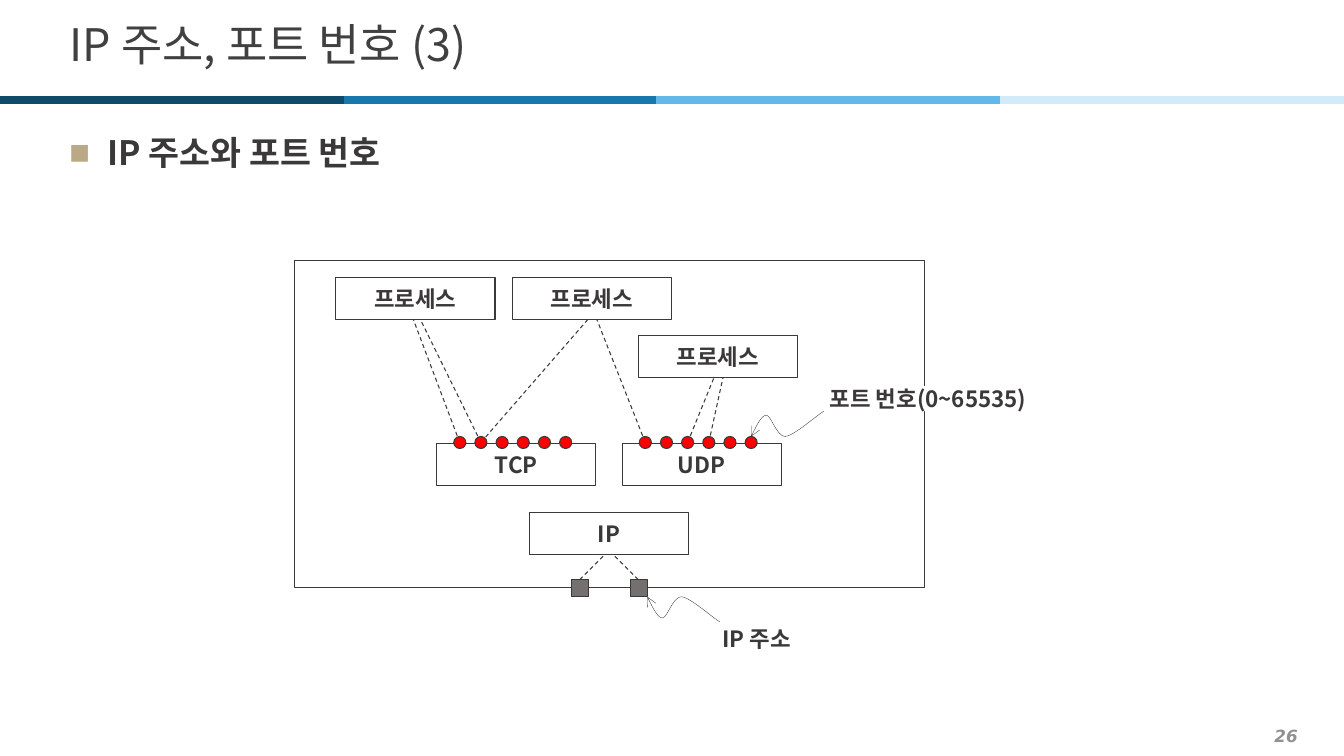
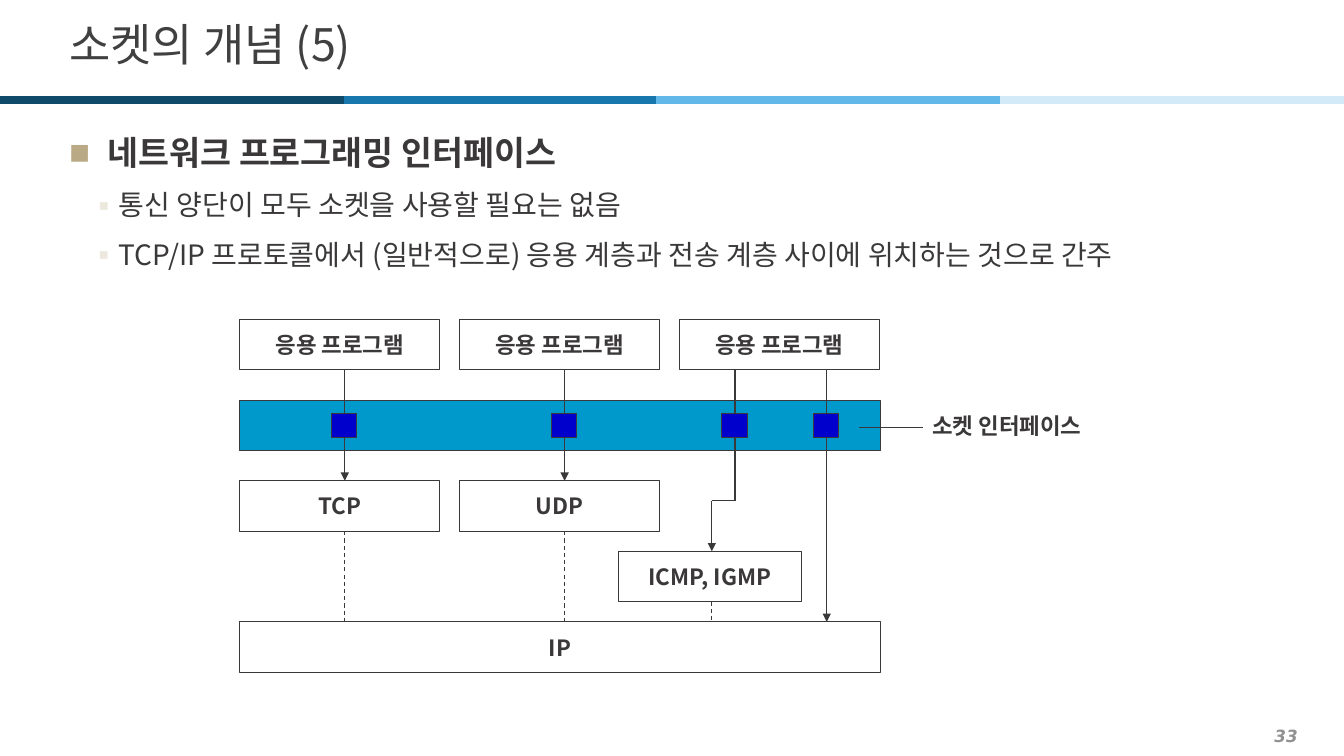
import pptx
import pptx.util
import pptx.dml.color
import pptx.enum.dml
import pptx.enum.shapes
import pptx.enum.text
import pptx.oxml.ns
import lxml.etree

Inches = pptx.util.Inches
Pt = pptx.util.Pt
RGBColor = pptx.dml.color.RGBColor
SHAPE = pptx.enum.shapes.MSO_SHAPE
ALIGN = pptx.enum.text.PP_ALIGN
qn = pptx.oxml.ns.qn

# Shared look
FONT = "Noto Sans CJK KR"
SANS = "DejaVu Sans"
INK = RGBColor(0x3A, 0x38, 0x38)
HEAD = RGBColor(0x40, 0x40, 0x40)
PALE = RGBColor(0x91, 0x91, 0x91)
WHITE = RGBColor(0xFF, 0xFF, 0xFF)
RED = RGBColor(0xFF, 0x00, 0x00)
GRAY = RGBColor(0x75, 0x70, 0x70)
CYAN = RGBColor(0x00, 0x99, 0xCC)
BLUE = RGBColor(0x00, 0x00, 0xCC)
BANDS = [RGBColor(0x0F, 0x4A, 0x6B), RGBColor(0x18, 0x77, 0xAC),
         RGBColor(0x61, 0xB8, 0xE9), RGBColor(0xD3, 0xEB, 0xF9)]
ENDS = [0, 3.41, 6.51, 9.92, 13.33]

# Bullet levels: size, bold, mark, mark colour, mark percent, margin, hang,
# line spacing, space before
LEVELS = [
    (24, True, "■", "B9A984", 65, 0.38, 0.38, 1.2, 0),
    (20, False, "▪", "ECE8DD", 55, 0.49, 0.2, 1.3, 2),
]


def add_tag(parent, name, **attrs):
    tag = lxml.etree.SubElement(parent, qn(name))
    for key, value in attrs.items():
        tag.set(key, str(value))
    return tag


def add_run(par, text, size, color, bold=False, font=FONT, italic=False):
    run = par.add_run()
    run.text = text
    face = run.font
    face.size, face.bold, face.italic = Pt(size), bold, italic
    face.color.rgb = color
    face.name = font
    add_tag(run.font._element, "a:ea", typeface=font)


def add_text(slide, x, y, w, h, middle=True):
    box = slide.shapes.add_textbox(Inches(x), Inches(y), Inches(w), Inches(h))
    frame = box.text_frame
    frame.word_wrap = True
    if middle:
        frame.vertical_anchor = pptx.enum.text.MSO_ANCHOR.MIDDLE
    return frame


def add_label(slide, x, y, w, h, text, align=ALIGN.CENTER):
    frame = add_text(slide, x, y, w, h)
    frame.word_wrap = False
    par = frame.paragraphs[0]
    par.alignment = align
    add_run(par, text, 16, INK, True)


def add_box(slide, x, y, w, h, text="", fill=None, kind=SHAPE.RECTANGLE,
            edge=True):
    box = slide.shapes.add_shape(kind, Inches(x), Inches(y), Inches(w), Inches(h))
    box.shadow.inherit = False
    if fill is None:
        box.fill.background()
    else:
        box.fill.solid()
        box.fill.fore_color.rgb = fill
    if edge:
        box.line.color.rgb = INK
        box.line.width = Pt(0.75)
    else:
        box.line.fill.background()
    if text:
        frame = box.text_frame
        frame.word_wrap = False
        frame.vertical_anchor = pptx.enum.text.MSO_ANCHOR.MIDDLE
        par = frame.paragraphs[0]
        par.alignment = ALIGN.CENTER
        add_run(par, text, 16, INK, True)


def add_line(slide, x1, y1, x2, y2, color=INK, width=0.75, dash=False,
             arrow=False):
    line = slide.shapes.add_connector(
        pptx.enum.shapes.MSO_CONNECTOR.STRAIGHT,
        Inches(x1), Inches(y1), Inches(x2), Inches(y2))
    line.line.color.rgb = color
    line.line.width = Pt(width)
    if dash:
        line.line.dash_style = pptx.enum.dml.MSO_LINE.DASH
    if arrow:
        add_tag(line.get_or_add_ln(), "a:tailEnd", type="triangle")
    add_tag(line._element.spPr, "a:effectLst")


def add_wave(slide, x, y, flip):
    """Wavy pointer with its arrowhead at x, y; flip is 1 or -1."""
    knots = [(0, 0), (0.05, 0.1), (0.1, 0.21), (0.15, 0.21), (0.2, 0.21),
             (0.25, 0), (0.34, 0), (0.43, 0.01), (0.65, 0.21), (0.72, 0.25)]
    steps = 12
    points = []
    for start in range(0, 9, 3):
        curve = knots[start:start + 4]
        for step in range(1, steps + 1):
            t = step / steps
            parts = [(1 - t) ** 3, 3 * t * (1 - t) ** 2,
                     3 * t ** 2 * (1 - t), t ** 3]
            dx = sum(k * p[0] for k, p in zip(parts, curve))
            dy = sum(k * p[1] for k, p in zip(parts, curve))
            points.append((Inches(x + dx), Inches(y + flip * dy)))
    form = slide.shapes.build_freeform(Inches(x), Inches(y))
    form.add_line_segments(points, close=False)
    wave = form.convert_to_shape()
    wave.shadow.inherit = False
    wave.fill.background()
    wave.line.color.rgb = INK
    wave.line.width = Pt(0.25)
    add_tag(wave.get_or_add_ln(), "a:headEnd", type="arrow")


def add_body(slide, x, y, w, h, items):
    frame = add_text(slide, x, y, w, h, middle=False)
    for i, (level, text) in enumerate(items):
        size, bold, mark, tint, scale, left, hang, lead, above = LEVELS[level]
        par = frame.add_paragraph() if i else frame.paragraphs[0]
        par.level = level
        par.line_spacing = lead
        par.space_before, par.space_after = Pt(above), Pt(2)
        props = par._p.get_or_add_pPr()
        props.set("marL", str(Inches(left)))
        props.set("indent", str(-Inches(hang)))
        add_tag(add_tag(props, "a:buClr"), "a:srgbClr", val=tint)
        add_tag(props, "a:buSzPct", val=scale * 1000)
        add_tag(props, "a:buFont", typeface=SANS)
        add_tag(props, "a:buChar", char=mark)
        add_run(par, text, size, INK, bold)


def add_page(deck, title, number, items):
    slide = deck.slides.add_slide(deck.slide_layouts[6])
    # Colour band
    for color, x1, x2 in zip(BANDS, ENDS, ENDS[1:]):
        add_line(slide, x1, 0.99, x2, 0.99, color, 6)
    # Page number
    par = add_text(slide, 0.2, 7.14, 12.77, 0.31).paragraphs[0]
    par.alignment = ALIGN.RIGHT
    add_run(par, number, 12, PALE, True, SANS, True)
    # Title and bullets
    par = add_text(slide, 0.59, 0.13, 12.21, 0.68).paragraphs[0]
    par.line_spacing = 0.9
    add_run(par, title, 32, HEAD)
    add_body(slide, 0.59, 1.18, 12.21, 6.03, items)
    return slide


def draw_host(slide, x, y):
    """Host with its processes, ports and addresses."""
    add_box(slide, x, y, 6.25, 3.25)
    for dx, dy, text in [
            (0.41, 0.17, "프로세스"), (2.16, 0.17, "프로세스"),
            (3.41, 0.75, "프로세스"), (1.41, 1.82, "TCP"),
            (3.25, 1.82, "UDP"), (2.33, 2.5, "IP")]:
        add_box(slide, x + dx, y + dy, 1.58, 0.42, text)
    # Process to port: start x, start y, protocol left, port index
    tcp, udp, gap = 1.41, 3.25, 0.21
    for dx, dy, left, port in [
            (1.18, 0.59, tcp, 0), (1.25, 0.59, tcp, 1), (2.91, 0.59, tcp, 1),
            (3, 0.59, udp, 0), (4.16, 1.17, udp, 2), (4.25, 1.17, udp, 3)]:
        add_line(slide, x + left + 0.23 + gap * port, y + 1.81,
                 x + dx, y + dy, dash=True)
    # Ports
    for left in (tcp, udp):
        for port in range(6):
            add_box(slide, x + left + 0.17 + gap * port, y + 1.75, 0.12, 0.12,
                    fill=RED, kind=SHAPE.OVAL)
    # Addresses
    for left, top in [(2.75, 3.08), (3.33, 3.16)]:
        add_line(slide, x + left + 0.08, y + 3.17, x + top, y + 2.92, dash=True)
        add_box(slide, x + left, y + 3.17, 0.17, 0.17, fill=GRAY)
    # Callouts
    add_wave(slide, x + 4.53, y + 1.75, -1)
    add_box(slide, x + 5.16, y + 1.25, 2.25, 0.25, "포트 번호(0~65535)",
            WHITE, edge=False)
    add_wave(slide, x + 3.5, y + 3.34, 1)
    add_label(slide, x + 4, y + 3.67, 1.17, 0.17, "IP 주소")


def draw_stack(slide, x, y):
    """Protocol layers with the socket layer between them."""
    wide, tall, cell, pitch = 6.35, 0.5, 1.98, 2.18
    band, mid, low, base = 0.8, 1.6, 2.3, 3
    # Layers
    for col in range(3):
        add_box(slide, x + pitch * col, y, cell, tall, "응용 프로그램")
    for col, text in enumerate(["TCP", "UDP"]):
        add_box(slide, x + pitch * col, y + mid, cell, tall, text)
    add_box(slide, x + 3.75, y + low, 1.82, tall, "ICMP, IGMP")
    add_box(slide, x, y + base, wide, tall, "IP")
    add_box(slide, x, y + band, wide, tall, fill=CYAN)
    # Socket paths: x, end y, arrow
    bend, icmp = 4.91, 4.68
    for dx, end, arrow in [(1.04, mid, True), (3.22, mid, True),
                           (bend, 1.8, False), (5.82, base, True)]:
        add_line(slide, x + dx, y + tall, x + dx, y + end, arrow=arrow)
        add_box(slide, x + dx - 0.13, y + 0.93, 0.25, 0.24, fill=BLUE)
    add_line(slide, x + icmp, y + 1.8, x + bend, y + 1.8)
    add_line(slide, x + icmp, y + 1.8, x + icmp, y + low, arrow=True)
    # Links down to IP
    for dx, top in [(1.04, mid), (3.22, mid), (icmp, low)]:
        add_line(slide, x + dx, y + top + tall, x + dx, y + base, dash=True)
    # Callout
    add_line(slide, x + 6.14, y + 1.07, x + 6.77, y + 1.07)
    add_label(slide, x + 6.77, y + band, 1.77, tall, "소켓 인터페이스",
              ALIGN.LEFT)


def main():
    deck = pptx.Presentation()
    deck.slide_width, deck.slide_height = Inches(13.33), Inches(7.5)
    page = add_page(deck, "IP 주소, 포트 번호 (3)", "26",
                    [(0, "IP 주소와 포트 번호")])
    draw_host(page, 2.92, 2.58)
    page = add_page(deck, "소켓의 개념 (5)", "33", [
        (0, "네트워크 프로그래밍 인터페이스"),
        (1, "통신 양단이 모두 소켓을 사용할 필요는 없음"),
        (1, "TCP/IP 프로토콜에서 (일반적으로) 응용 계층과 전송 계층 사이에 "
            "위치하는 것으로 간주")])
    draw_stack(page, 2.38, 3.17)
    deck.save("out.pptx")


if __name__ == "__main__":
    main()
